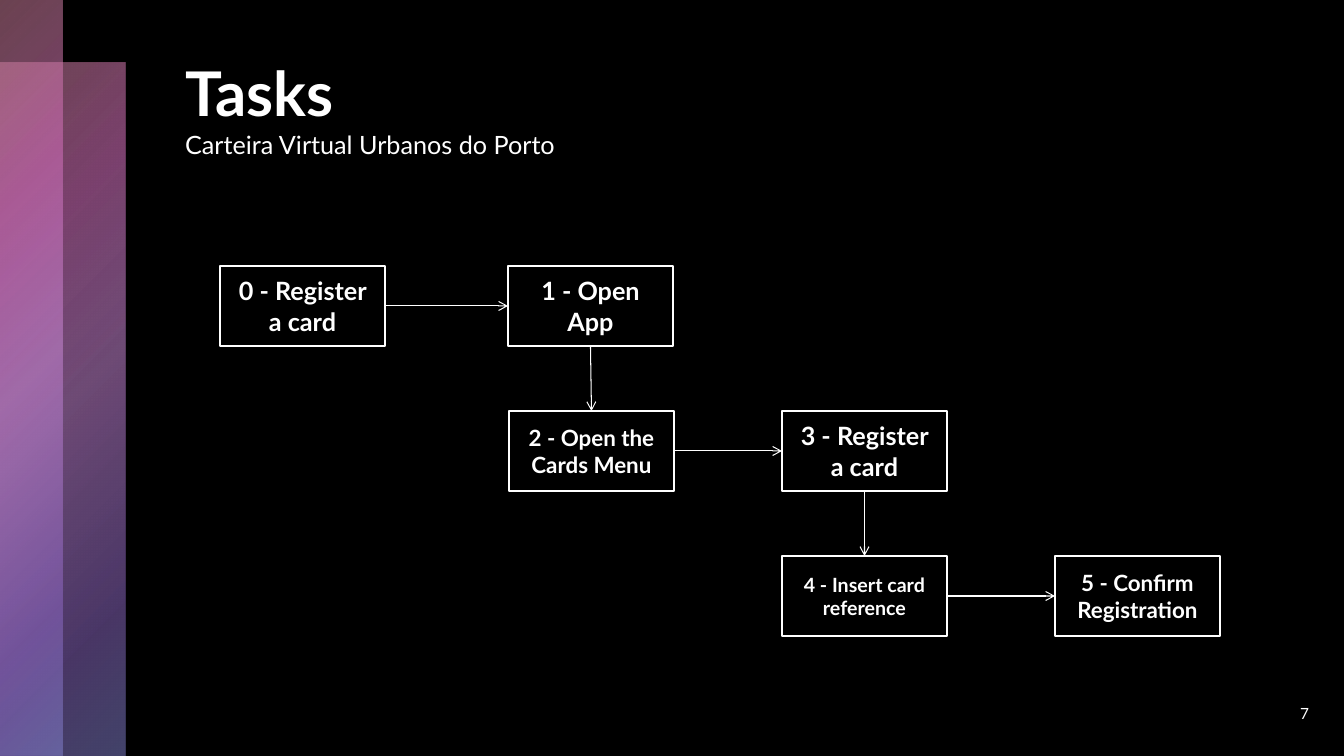
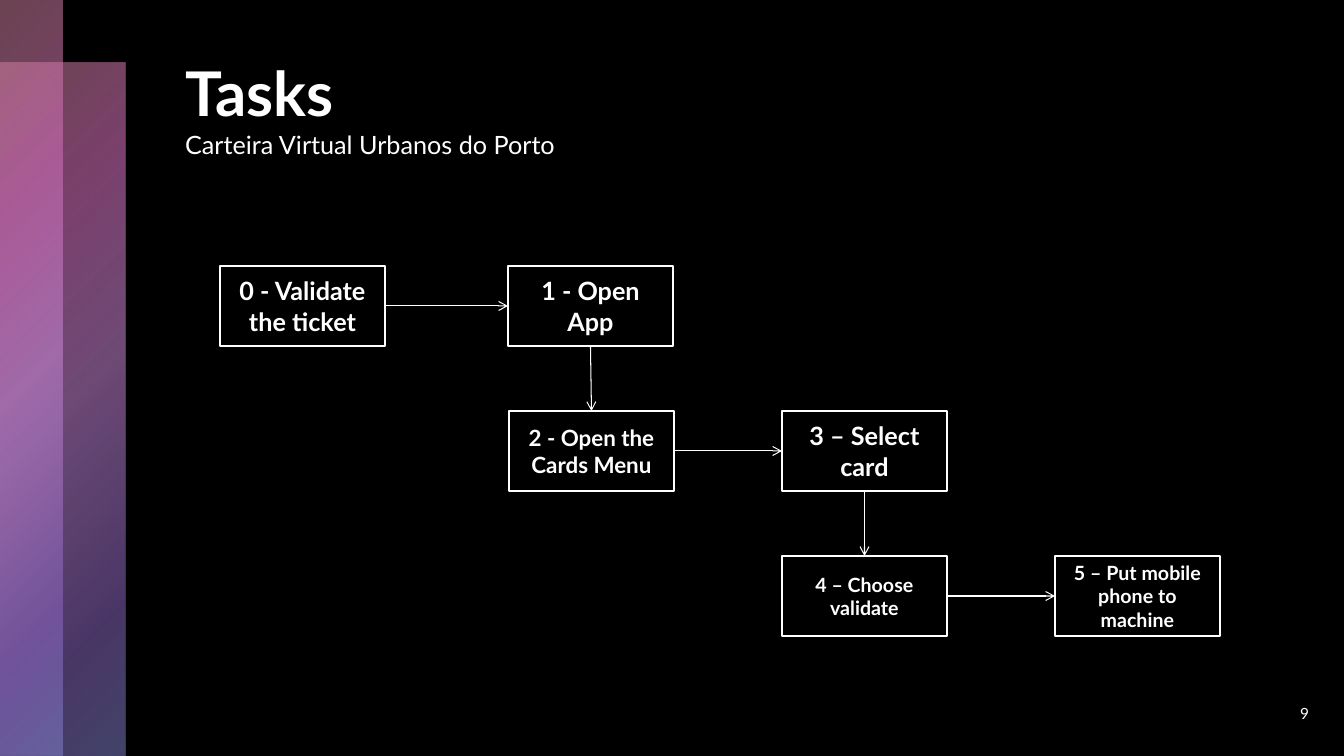
"""Build two task-flow slides that share a dark theme and translucent side bands."""
from dataclasses import dataclass
from itertools import pairwise

from lxml import etree
from pptx import Presentation
from pptx.dml.color import RGBColor
from pptx.enum.shapes import MSO_CONNECTOR, MSO_SHAPE
from pptx.enum.text import MSO_ANCHOR, MSO_AUTO_SIZE, PP_ALIGN
from pptx.oxml import parse_xml
from pptx.oxml.ns import nsdecls, qn
from pptx.shapes.autoshape import Shape
from pptx.slide import Slide, SlideLayout
from pptx.text.text import TextFrame
from pptx.util import Emu, Pt

RECTANGLE = MSO_SHAPE.RECTANGLE
STRAIGHT = MSO_CONNECTOR.STRAIGHT
TOP, MIDDLE = MSO_ANCHOR.TOP, MSO_ANCHOR.MIDDLE
LEFT, CENTER, RIGHT = PP_ALIGN.LEFT, PP_ALIGN.CENTER, PP_ALIGN.RIGHT
FIXED_SIZE = MSO_AUTO_SIZE.NONE

EMU_PER_PX = 914400 / 100.8
TITLE_ONLY = 5
TOP_SITE, LEFT_SITE, BOTTOM_SITE, RIGHT_SITE = range(4)


@dataclass(frozen=True)
class Theme:
    background: RGBColor = RGBColor(0x00, 0x00, 0x00)
    ink: RGBColor = RGBColor(0xFF, 0xFF, 0xFF)
    font: str = "Lato"
    title_size: int = 44
    subtitle_size: int = 18
    number_size: int = 11
    box_line: float = 1
    arrow_line: float = 0.75
    gradient: tuple[tuple[int, str, int], ...] = (
        (0, "D587A1", 50),
        (25, "CC6CB5", 60),
        (50, "C887D5", 55),
        (81, "946CCC", 50),
        (99, "8787D5", 50),
    )


@dataclass(frozen=True)
class Box:
    left: int
    top: int
    width: int
    height: int

    def emu(self) -> tuple[Emu, Emu, Emu, Emu]:
        return px(self.left), px(self.top), px(self.width), px(self.height)


@dataclass(frozen=True)
class Step:
    text: str
    size: int


@dataclass(frozen=True)
class TaskFlow:
    number: str
    steps: tuple[Step, ...]


THEME = Theme()
SLIDE_WIDTH, SLIDE_HEIGHT = 1344, 756
BANDS = (Box(0, 63, 126, 693), Box(0, 0, 63, 756))
TITLE_BOX = Box(175, 50, 1045, 171)
NUMBER_BOX = Box(1229, 693, 90, 41)

ROW_TOP, ROW_PITCH = 266, 145
STAIR_LEFT, STAIR_PITCH = 509, 273
STEP_WIDTH, STEP_HEIGHT = 165, 80
STEP_SLOTS = (
    (220, 0),
    (508, 0),
    (STAIR_LEFT, 1),
    (STAIR_LEFT + STAIR_PITCH, 1),
    (STAIR_LEFT + STAIR_PITCH, 2),
    (STAIR_LEFT + 2 * STAIR_PITCH, 2),
)

TITLE = "Tasks"
SUBTITLE = "Carteira Virtual Urbanos do Porto"
OPEN_STEPS = (Step("1 - Open App", 18), Step("2 - Open the Cards Menu", 16))
FLOWS = (
    TaskFlow("7", (
        Step("0 - Register a card", 18),
        *OPEN_STEPS,
        Step("3 - Register a card", 18),
        Step("4 - Insert card reference", 14),
        Step("5 - Confirm Registration", 16),
    )),
    TaskFlow("9", (
        Step("0 - Validate the ticket", 18),
        *OPEN_STEPS,
        Step("3 – Select card", 18),
        Step("4 – Choose validate", 14),
        Step("5 – Put mobile phone to machine", 14),
    )),
)


def px(length: int) -> Emu:
    return Emu(round(length * EMU_PER_PX))


def format_text(text_frame: TextFrame, alignment: PP_ALIGN, anchor: MSO_ANCHOR,
                sizes: tuple[int, ...], bold: bool) -> None:
    text_frame.word_wrap = True
    text_frame.auto_size = FIXED_SIZE
    text_frame.vertical_anchor = anchor
    paragraph = text_frame.paragraphs[0]
    paragraph.alignment = alignment
    for index, (run, size) in enumerate(zip(paragraph.runs, sizes)):
        run.font.name = THEME.font
        run.font.size = Pt(size)
        run.font.bold = bold and index == 0
        run.font.color.rgb = THEME.ink


def add_rectangle(slide: Slide, box: Box) -> Shape:
    shape = slide.shapes.add_shape(RECTANGLE, *box.emu())
    shape.shadow.inherit = False
    shape.fill.background()
    return shape


def gradient_fill() -> etree._Element:
    stops = "".join(
        f'<a:gs pos="{position * 1000}"><a:srgbClr val="{color}">'
        f'<a:alpha val="{opacity * 1000}"/></a:srgbClr></a:gs>'
        for position, color, opacity in THEME.gradient
    )
    return parse_xml(
        f'<a:gradFill {nsdecls("a")} rotWithShape="1"><a:gsLst>{stops}</a:gsLst>'
        '<a:path path="circle"><a:fillToRect r="100000" b="100000"/></a:path>'
        '<a:tileRect l="-100000" t="-100000"/></a:gradFill>'
    )


def move_bands_to_layout(slide: Slide, layout: SlideLayout) -> None:
    for index, box in enumerate(BANDS):
        band = add_rectangle(slide, box)
        band.line.fill.background()
        properties = band.element.spPr
        properties.replace(properties.find(qn("a:noFill")), gradient_fill())
        band.element.xpath(".//p:cNvPr")[0].set("id", str(100 + index))
        layout.shapes.element.insert(2 + index, band.element)


def add_title(slide: Slide) -> None:
    title = slide.shapes.title
    title.left, title.top, title.width, title.height = TITLE_BOX.emu()
    title.text_frame.text = f"{TITLE}\v{SUBTITLE}"
    sizes = (THEME.title_size, THEME.subtitle_size)
    format_text(title.text_frame, LEFT, TOP, sizes, True)


def add_number(slide: Slide, number: str) -> None:
    text_frame = slide.shapes.add_textbox(*NUMBER_BOX.emu()).text_frame
    text_frame.text = number
    format_text(text_frame, RIGHT, MIDDLE, (THEME.number_size,), False)


def add_step(slide: Slide, step: Step, left: int, row: int) -> Shape:
    box = Box(left, ROW_TOP + row * ROW_PITCH, STEP_WIDTH, STEP_HEIGHT)
    shape = add_rectangle(slide, box)
    shape.line.color.rgb = THEME.ink
    shape.line.width = Pt(THEME.box_line)
    shape.text_frame.text = step.text
    format_text(shape.text_frame, CENTER, MIDDLE, (step.size,), True)
    return shape


def add_arrow(slide: Slide, start: Shape, end: Shape) -> None:
    same_row = start.top == end.top
    connector = slide.shapes.add_connector(STRAIGHT, 0, 0, 0, 0)
    connector.begin_connect(start, RIGHT_SITE if same_row else BOTTOM_SITE)
    connector.end_connect(end, LEFT_SITE if same_row else TOP_SITE)
    connector.line.color.rgb = THEME.ink
    connector.line.width = Pt(THEME.arrow_line)
    properties = connector.element.spPr
    etree.SubElement(properties.find(qn("a:ln")), qn("a:tailEnd"), type="arrow")
    etree.SubElement(properties, qn("a:effectLst"))


def add_flow(slide: Slide, flow: TaskFlow) -> None:
    add_title(slide)
    add_number(slide, flow.number)
    shapes = [add_step(slide, step, left, row)
              for step, (left, row) in zip(flow.steps, STEP_SLOTS)]
    for start, end in pairwise(shapes):
        add_arrow(slide, start, end)


def main() -> None:
    presentation = Presentation()
    presentation.slide_width = px(SLIDE_WIDTH)
    presentation.slide_height = px(SLIDE_HEIGHT)
    layout = presentation.slide_layouts[TITLE_ONLY]
    layout.background.fill.solid()
    layout.background.fill.fore_color.rgb = THEME.background
    slides = [presentation.slides.add_slide(layout) for _ in FLOWS]
    move_bands_to_layout(slides[0], layout)
    for slide, flow in zip(slides, FLOWS):
        add_flow(slide, flow)
    presentation.save("out.pptx")


if __name__ == "__main__":
    main()
